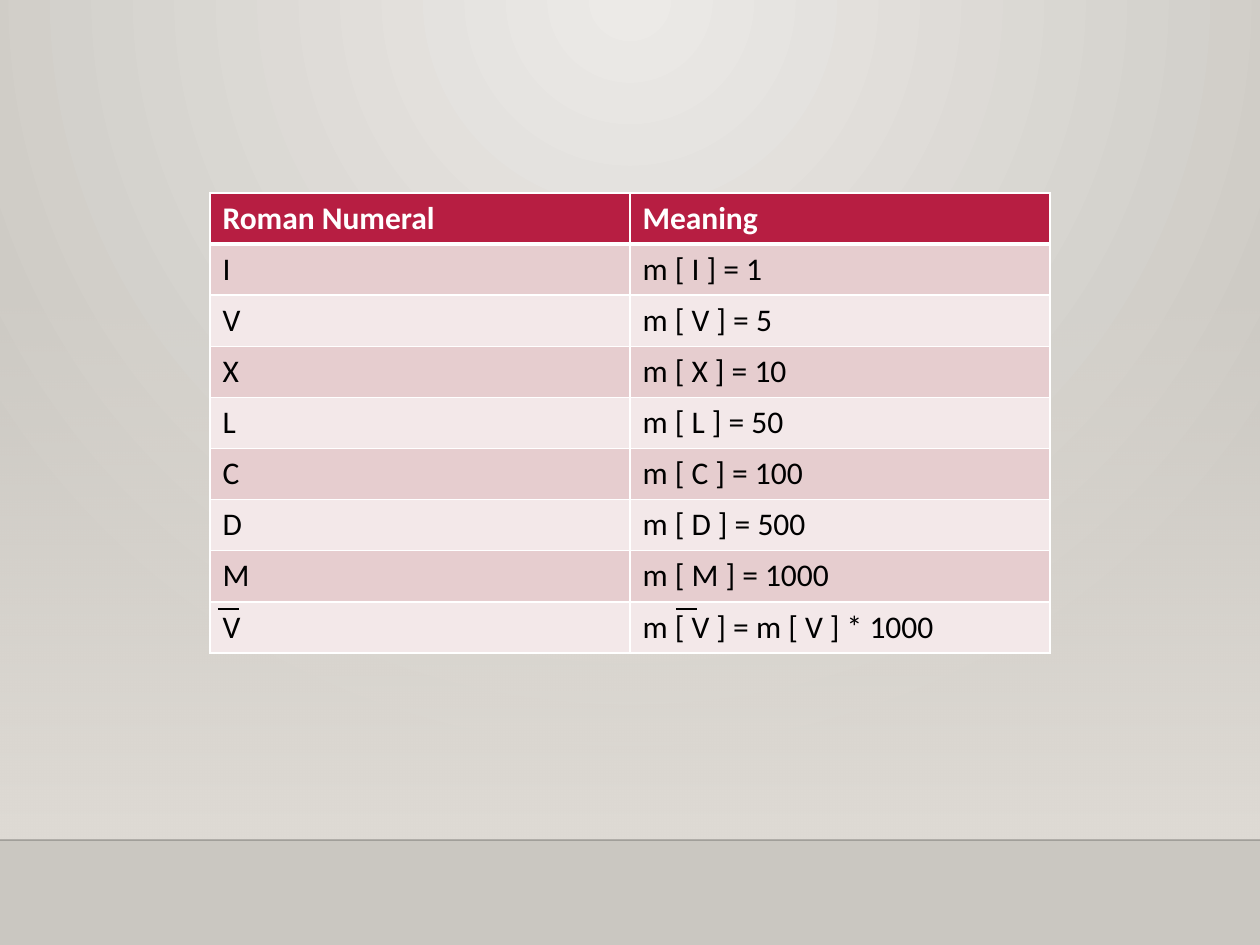
from lxml import etree
from pptx import Presentation
from pptx.dml.color import RGBColor
from pptx.enum.shapes import MSO_CONNECTOR, MSO_SHAPE
from pptx.oxml import parse_xml
from pptx.oxml.ns import nsdecls, qn
from pptx.util import Emu, Pt

RECT = MSO_SHAPE.RECTANGLE
STRAIGHT = MSO_CONNECTOR.STRAIGHT
THEME = {
    "font": "Calibri", "size": 18,
    "bg_light": "ECEAE7", "bg_dark": "CAC7C1", "wall": "DFDBD5",
    "header": "B71E42", "bands": ("E6CDCF", "F3E8E9"),
    "white": "FFFFFF", "black": "000000",
}


def px(n):
    return Emu(round(n * 914400 / 126))


def add_line(x1, x2, y, width):
    ln = s.shapes.add_connector(STRAIGHT, px(x1), px(y), px(x2), px(y))
    ln.line.color.rgb = RGBColor.from_string(THEME["black"])
    ln.line.width = Pt(width)
    etree.SubElement(ln._element.spPr, qn("a:effectLst"))
    return ln


prs = Presentation()
prs.slide_width, prs.slide_height = px(1260), px(945)
s = prs.slides.add_slide(prs.slide_layouts[6])

s._element.cSld.insert(0, parse_xml(
    f'<p:bg {nsdecls("p", "a")}><p:bgPr><a:gradFill rotWithShape="1"><a:gsLst>'
    f'<a:gs pos="0"><a:srgbClr val="{THEME["bg_light"]}"/></a:gs>'
    f'<a:gs pos="100000"><a:srgbClr val="{THEME["bg_dark"]}"/></a:gs></a:gsLst>'
    '<a:path path="circle"><a:fillToRect l="43000" t="0" r="43000" b="100000"/></a:path>'
    '</a:gradFill><a:effectLst/></p:bgPr></p:bg>'))

wall = s.shapes.add_shape(RECT, 0, px(277), px(1260), px(563))
wall.shadow.inherit = False
wall.line.fill.background()
wall.fill.gradient()
wall.fill.gradient_angle = 270
for stop, position in zip(wall.fill.gradient_stops, (0, 1)):
    stop.position = position
    stop.color.rgb = RGBColor.from_string(THEME["wall"])
clear = wall._element.spPr.find(".//" + qn("a:srgbClr"))
etree.SubElement(clear, qn("a:alpha"), val="0")

floor_edge = add_line(0, 1260, 840, 1)
edge_color = floor_edge._element.spPr.find(".//" + qn("a:srgbClr"))
etree.SubElement(edge_color, qn("a:alpha"), val="20000")

values = {"I": 1, "V": 5, "X": 10, "L": 50, "C": 100, "D": 500, "M": 1000}
rows = [("Roman Numeral", "Meaning")]
rows += [(n, f"m [ {n} ] = {v}") for n, v in values.items()]
rows.append(("V", "m [ V ] = m [ V ] * 1000"))

table = s.shapes.add_table(len(rows), 2, px(210), px(193), px(840), px(51 * len(rows))).table
for i, row in enumerate(rows):
    table.rows[i].height = px(51)
    for j, text in enumerate(row):
        cell = table.cell(i, j)
        fill = THEME["bands"][(i - 1) % 2] if i else THEME["header"]
        cell.fill.solid()
        cell.fill.fore_color.rgb = RGBColor.from_string(fill)
        r = cell.text_frame.paragraphs[0].add_run()
        r.text = text
        r.font.name = THEME["font"]
        r.font.size = Pt(THEME["size"])
        r.font.bold = i == 0
        r.font.color.rgb = RGBColor.from_string(THEME["black" if i else "white"])
        tcPr = cell._tc.get_or_add_tcPr()
        for k, side in enumerate("LRTB"):
            width = 3 if (i, side) in ((0, "B"), (1, "T")) else 1
            tcPr.insert(k, parse_xml(
                f'<a:ln{side} {nsdecls("a")} w="{Pt(width)}"><a:solidFill>'
                f'<a:srgbClr val="{THEME["white"]}"/></a:solidFill></a:ln{side}>'))

for x in (218, 676):
    add_line(x, x + 21, 609, 0.75)

prs.save("out.pptx")
